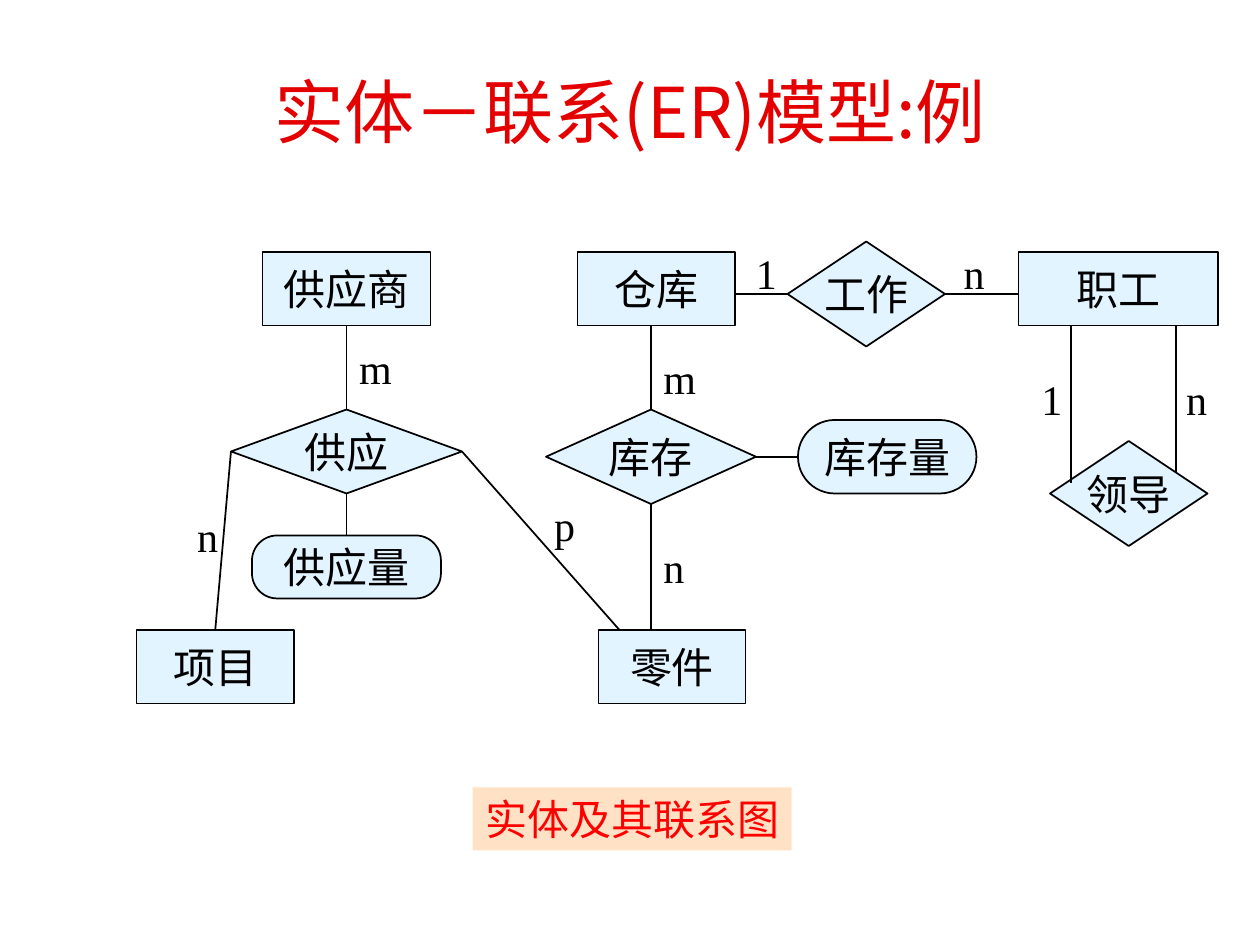
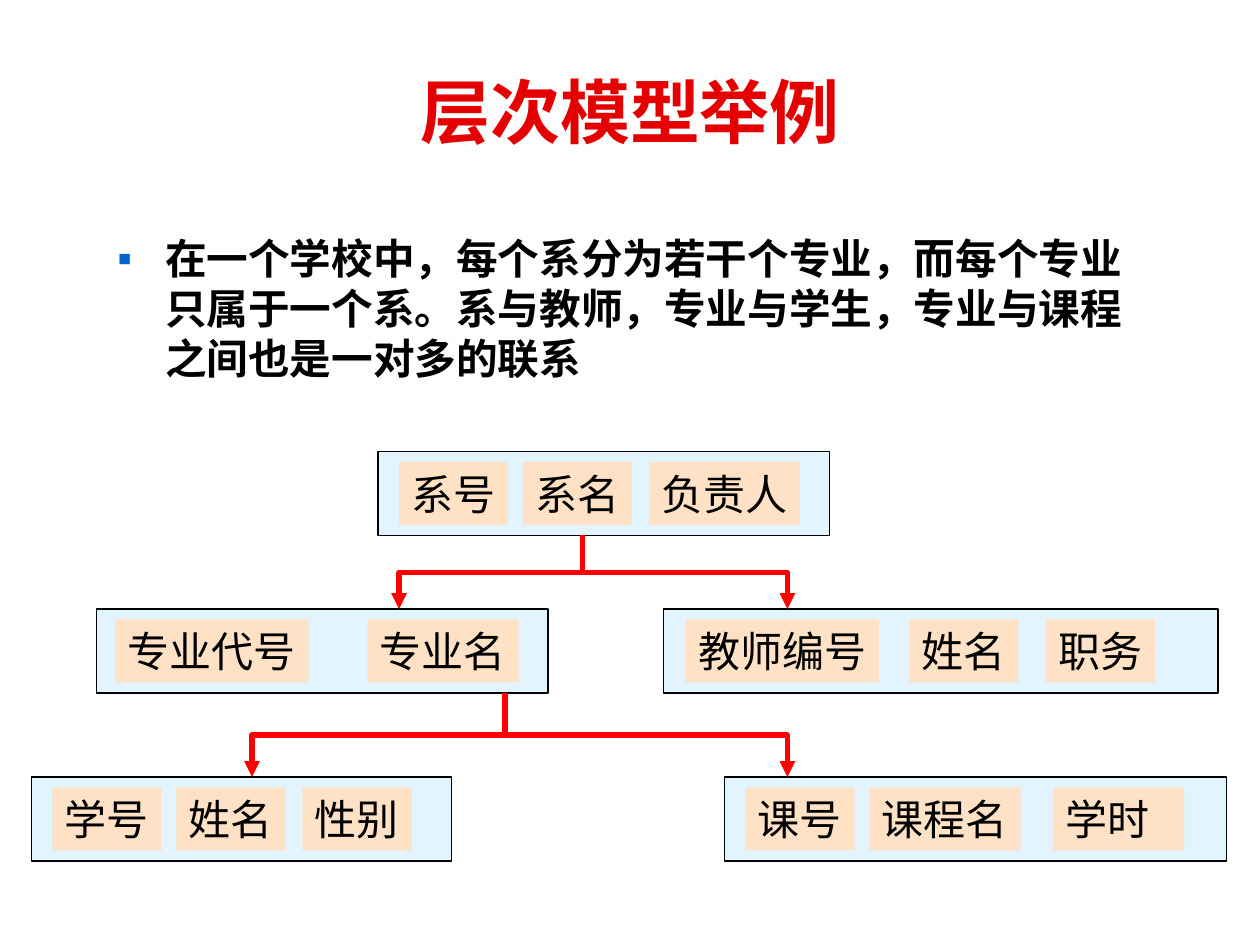
from dataclasses import dataclass

from lxml import etree
from pptx import Presentation
from pptx import util as u
from pptx.dml.color import RGBColor
from pptx.enum import shapes, text
from pptx.oxml import ns

COLORS = {
    "title": "E40000",
    "accent": "FF0000",
    "ink": "000000",
    "box": "E1F4FF",
    "field": "FFE2C5",
    "bullet": "0066CC",
}
CJK = "Noto Sans CJK SC"
SERIF = "Times New Roman"
COLS, ROWS = 120, 90  # grid units across and down the slide
CELL = u.Inches(10) // COLS
CHAR = 4  # grid columns taken by one 24 pt character

RECT = shapes.MSO_SHAPE.RECTANGLE
DIAMOND = shapes.MSO_SHAPE.DIAMOND
ROUND = shapes.MSO_SHAPE.ROUNDED_RECTANGLE
CENTER, LEFT = text.PP_ALIGN.CENTER, text.PP_ALIGN.LEFT


@dataclass
class Node:
    label: str
    kind: int
    x: float
    y: float
    w: float
    h: float
    corner: float = 0


@dataclass
class Line:
    x1: float
    y1: float
    x2: float
    y2: float


@dataclass
class Label:
    label: str
    x: float
    y: float
    w: float = 4.3


@dataclass
class Field:
    label: str
    x: float
    extra: float = 2.4  # room beyond the characters


@dataclass
class Record:
    x: float
    y: float
    w: float
    fields: list[Field]


ER_NODES = [
    Node("供应商", RECT, 25, 24, 16, 7),
    Node("项目", RECT, 13, 60, 15, 7),
    Node("零件", RECT, 57, 60, 14, 7),
    Node("供应", DIAMOND, 22, 39, 22, 8),
    Node("供应量", ROUND, 24, 51, 18, 6, 0.4),
    Node("库存", DIAMOND, 52, 39, 20, 9),
    Node("仓库", RECT, 55, 24, 15, 7),
    Node("库存量", ROUND, 76, 40, 17, 7, 0.5),
    Node("职工", RECT, 97, 24, 19, 7),
    Node("领导", DIAMOND, 100, 42, 15, 10),
    Node("工作", DIAMOND, 75, 23, 15, 10),
]
ER_LINES = [
    Line(33, 31, 33, 39),
    Line(33, 47, 33, 51),
    Line(22, 43, 20.5, 60),
    Line(44, 43, 59, 60),
    Line(62, 39, 62, 31),
    Line(62, 48, 62, 60),
    Line(72, 43.5, 76, 43.5),
    Line(75, 28, 70, 28),
    Line(90, 28, 97, 28),
    Line(102, 31, 102, 46),
    Line(112, 31, 112, 45),
]
ER_LABELS = [
    Label("m", 33, 32, 5.5),
    Label("n", 17.6, 48),
    Label("p", 51.6, 47),
    Label("m", 62, 33, 5.5),
    Label("n", 62, 51),
    Label("1", 70.8, 23),
    Label("n", 90.6, 23),
    Label("1", 98, 35),
    Label("n", 111.8, 35),
]
RECORDS = [
    Record(36, 43, 43, [Field("系号", 38), Field("系名", 49.8), Field("负责人", 61.8)]),
    Record(9.2, 58, 43, [Field("专业代号", 11), Field("专业名", 35)]),
    Record(63.2, 58, 52.8,
           [Field("教师编号", 65.3), Field("姓名", 86.6), Field("职务", 99.6)]),
    Record(3, 74, 40, [Field("学号", 5), Field("姓名", 16.8), Field("性别", 28.8)]),
    Record(69, 74, 47.8,
           [Field("课号", 71), Field("课程名", 82.8), Field("学时", 100.3, 4.5)]),
]
TREE_LINES = [
    Line(55.5, 51, 38, 58),
    Line(55.5, 51, 75, 58),
    Line(48.1, 66, 24, 74),
    Line(48.1, 66, 75, 74),
]


def rgb(name: str) -> RGBColor:
    return RGBColor.from_string(COLORS[name])


def grid(*units: float) -> list[int]:
    return [round(n * CELL) for n in units]


def put_text(sp, content: str, *, size=24, color="ink", font=CJK, bold=False,
             align=CENTER, anchor=text.MSO_ANCHOR.MIDDLE, wrap=False, right=0.1):
    tf = sp.text_frame
    tf.word_wrap = wrap
    tf.vertical_anchor = anchor
    tf.margin_left, tf.margin_right = u.Inches(0.1), u.Inches(right)
    tf.margin_top = tf.margin_bottom = u.Inches(0.05)
    p = tf.paragraphs[0]
    p.alignment = align
    r = p.add_run()
    r.text = content
    f = r.font
    f.name, f.size, f.bold = font, u.Pt(size), bold
    f.color.rgb = rgb(color)
    # East Asian glyphs take their own typeface
    etree.SubElement(r._r.get_or_add_rPr(), ns.qn("a:ea"), typeface=CJK)
    return p


def add_box(slide, kind: int, x: float, y: float, w: float, h: float,
            fill="box", line: float = 0):
    sp = slide.shapes.add_shape(kind, *grid(x, y, w, h))
    sp.shadow.inherit = False
    sp.fill.solid()
    sp.fill.fore_color.rgb = rgb(fill)
    if line:
        sp.line.color.rgb = rgb("ink")
        sp.line.width = u.Pt(line)
    else:
        sp.line.fill.background()
    return sp


def add_title(slide, content: str, **style) -> None:
    sp = slide.shapes.add_textbox(*grid(4, 3, COLS - 8, 15))
    put_text(sp, content, size=40, color="title", wrap=True, **style)


def add_line(slide, ln: Line, kind=shapes.MSO_CONNECTOR.STRAIGHT,
             color="ink", width: float = 1):
    c = slide.shapes.add_connector(kind, *grid(ln.x1, ln.y1, ln.x2, ln.y2))
    c.line.color.rgb = rgb(color)
    c.line.width = u.Pt(width)
    etree.SubElement(c._element.spPr, ns.qn("a:effectLst"))
    return c


def add_tree_arrow(slide, ln: Line) -> None:
    """Draw an elbow that leaves downwards: a sideways elbow, turned."""
    mx, my = (ln.x1 + ln.x2) / 2, (ln.y1 + ln.y2) / 2
    half_w, half_h = (ln.y2 - ln.y1) / 2, abs(ln.x2 - ln.x1) / 2
    to_left = ln.x2 < ln.x1
    if not to_left:
        half_w = -half_w
    turned = Line(mx - half_w, my - half_h, mx + half_w, my + half_h)
    c = add_line(slide, turned, shapes.MSO_CONNECTOR.ELBOW, "accent", 3)
    c._element.spPr.find(ns.qn("a:xfrm")).set("rot", str((90 if to_left else 270) * 60000))
    etree.SubElement(c.line._get_or_add_ln(), ns.qn("a:tailEnd"), type="triangle")


def add_bullet(p) -> None:
    pPr = p._p.get_or_add_pPr()
    pPr.set("marL", str(u.Inches(0.38)))
    pPr.set("indent", str(-u.Inches(0.38)))
    clr = etree.SubElement(pPr, ns.qn("a:buClr"))
    etree.SubElement(clr, ns.qn("a:srgbClr"), val=COLORS["bullet"])
    etree.SubElement(pPr, ns.qn("a:buFont"), typeface="Arial")
    etree.SubElement(pPr, ns.qn("a:buChar"), char="▪")


def build_er_slide(slide) -> None:
    add_title(slide, "实体－联系(ER)模型:例")
    for n in ER_NODES:
        sp = add_box(slide, n.kind, n.x, n.y, n.w, n.h, line=1)
        if n.corner:
            sp.adjustments[0] = n.corner
        put_text(sp, n.label)
    for ln in ER_LINES:
        add_line(slide, ln)
    for lb in ER_LABELS:
        put_text(slide.shapes.add_textbox(*grid(lb.x, lb.y, lb.w, 6)), lb.label, font=SERIF)
    caption = add_box(slide, RECT, 45, 75, 30.4, 6, "field")
    put_text(caption, "实体及其联系图", color="accent", font=SERIF)


def build_tree_slide(slide) -> None:
    add_title(slide, "层次模型举例", font="Arial", bold=True)
    body = slide.shapes.add_textbox(*grid(10, 21.6, 101, 15.8))
    p = put_text(
        body,
        "在一个学校中，每个系分为若干个专业，而每个专业只属于一个系。"
        "系与教师，专业与学生，专业与课程之间也是一对多的联系",
        size=23.8, font="Arial", bold=True, align=LEFT,
        anchor=text.MSO_ANCHOR.TOP, wrap=True)
    p.line_spacing = u.Pt(28.6)
    add_bullet(p)
    for rec in RECORDS:
        add_box(slide, RECT, rec.x, rec.y, rec.w, 8, line=0.75)
        for f in rec.fields:
            width = CHAR * len(f.label) + f.extra
            sp = add_box(slide, RECT, f.x, rec.y + 1, width, 6, "field")
            put_text(sp, f.label, font="Roboto", align=LEFT, wrap=True, right=0)
    for ln in TREE_LINES:
        add_tree_arrow(slide, ln)


def main() -> None:
    prs = Presentation()
    prs.slide_width, prs.slide_height = grid(COLS, ROWS)
    for build in (build_er_slide, build_tree_slide):
        build(prs.slides.add_slide(prs.slide_layouts[6]))
    prs.save("out.pptx")


if __name__ == "__main__":
    main()
